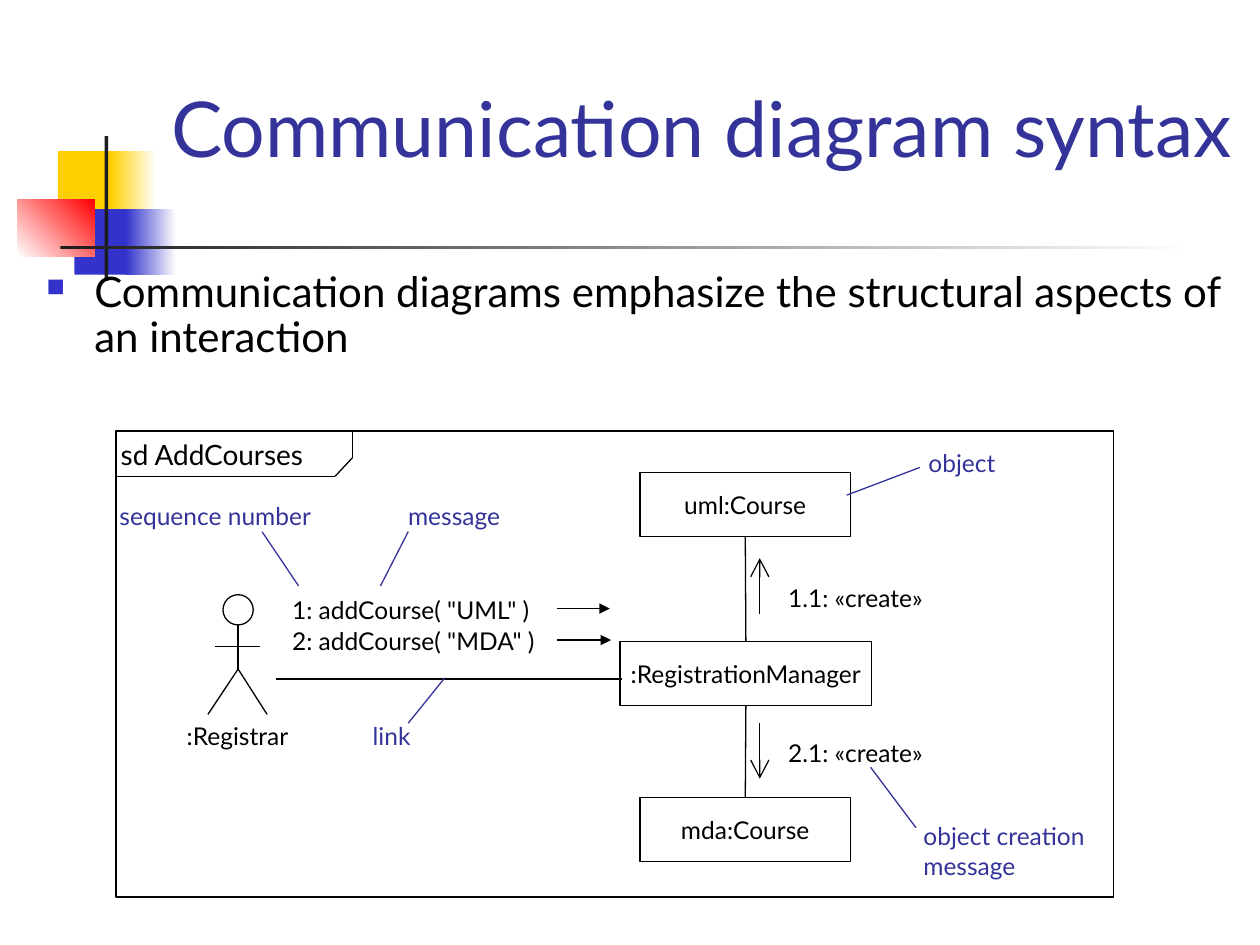
from dataclasses import dataclass
from typing import Any

import pptx
import pptx.dml.color
import pptx.enum.shapes
import pptx.enum.text
import pptx.oxml
import pptx.oxml.ns
import pptx.util
from pptx.util import Inches

Kind = pptx.enum.shapes.MSO_SHAPE
Align = pptx.enum.text.PP_ALIGN
Anchor = pptx.enum.text.MSO_ANCHOR
Fit = pptx.enum.text.MSO_AUTO_SIZE

FONT = "Lato"
BLACK, WHITE, NAVY = "000000", "FFFFFF", "333399"
GOLD, BLUE, RED, DARK = "FFCF01", "3333CC", "FF0000", "1C1C1C"


@dataclass
class Box:
    x: float
    y: float
    w: float
    h: float


@dataclass
class Block:
    box: Box
    start: str
    end: str = ""
    angle: float = 0


@dataclass
class Label:
    text: str
    box: Box
    color: str = BLACK
    size: float = 14
    wrap: bool = False
    align: Any = Align.LEFT


@dataclass
class Line:
    x1: float
    y1: float
    x2: float
    y2: float
    color: str = BLACK
    head: str = ""
    scale: str = "med"


BLOCKS = [
    Block(Box(0.46, 1.2, 0.48, 0.52), GOLD),
    Block(Box(0.88, 1.2, 0.36, 0.52), GOLD, WHITE),
    Block(Box(0.59, 1.66, 0.46, 0.52), BLUE),
    Block(Box(1, 1.66, 0.4, 0.52), BLUE, WHITE),
    Block(Box(0.14, 1.58, 0.61, 0.46), WHITE, RED, 45),
    Block(Box(0.83, 1.08, 0.03, 1.15), DARK),
    Block(Box(0.48, 1.95, 9, 0.03), DARK, WHITE),
]
LABELS = [
    Label('1: addCourse( "UML" )', Box(2.22, 4.67, 2.21, 0.34)),
    Label('2: addCourse( "MDA" )', Box(2.22, 4.92, 2.23, 0.34)),
    Label("1.1: «create»", Box(5.96, 4.58, 1.66, 0.34), wrap=True, align=Align.CENTER),
    Label("2.1: «create»", Box(5.96, 5.81, 1.66, 0.34), wrap=True, align=Align.CENTER),
    Label("sd AddCourses", Box(0.86, 3.42, 1.75, 0.37), size=16),
    Label("link", Box(2.86, 5.67, 0.52, 0.34), NAVY),
    Label("message", Box(3.14, 3.93, 1.02, 0.34), NAVY),
    Label("sequence number", Box(0.85, 3.93, 1.86, 0.34), NAVY),
    Label("object", Box(7.27, 3.51, 0.76, 0.34), NAVY),
    Label("object creation\nmessage", Box(7.23, 6.47, 1.52, 0.8), NAVY, wrap=True),
]
LINES = [
    Line(2.19, 5.39, 4.94, 5.39),
    Line(4.42, 4.83, 4.84, 4.83, head="triangle"),
    Line(4.42, 5.08, 4.85, 5.08, head="triangle"),
    Line(6.03, 4.87, 6.03, 4.43, head="arrow", scale="lg"),
    Line(6.03, 5.74, 6.03, 6.18, head="arrow", scale="lg"),
    Line(0.92, 3.78, 2.66, 3.78),
    Line(3.24, 5.74, 3.53, 5.38, NAVY),
    Line(3.24, 4.22, 3.02, 4.65, NAVY),
    Line(2.08, 4.22, 2.37, 4.65, NAVY),
    Line(7.3, 3.71, 6.72, 3.93, NAVY),
    Line(6.91, 6.09, 7.27, 6.57, NAVY),
]
CORNER = [Line(2.66, 3.78, 2.8, 3.63), Line(2.8, 3.63, 2.8, 3.42)]
LIMBS = [
    Line(1.89, 4.96, 1.89, 5.31),
    Line(1.89, 5.31, 2.12, 5.67),
    Line(1.89, 5.31, 1.65, 5.67),
    Line(1.71, 5.13, 2.06, 5.13),
]


def rgb(code: str) -> pptx.dml.color.RGBColor:
    return pptx.dml.color.RGBColor.from_string(code)


def place(box: Box) -> list[int]:
    return [Inches(v) for v in (box.x, box.y, box.w, box.h)]


def write(shape: Any, text: str, size: float, color: str, align: Any = Align.LEFT) -> Any:
    """Fill the first paragraph, with a line break at each newline."""
    para = shape.text_frame.paragraphs[0]
    para.alignment = align
    for i, part in enumerate(text.split("\n")):
        if i:
            para.add_line_break()
        run = para.add_run()
        run.text = part
        run.font.name = FONT
        run.font.size = pptx.util.Pt(size)
        run.font.color.rgb = rgb(color)
    return para


def draw_block(on: Any, block: Block) -> None:
    shape = on.add_shape(Kind.RECTANGLE, *place(block.box))
    shape.shadow.inherit = False
    shape.line.fill.background()
    if block.end:
        shape.fill.gradient()
        shape.fill.gradient_angle = block.angle
        for stop, color in zip(shape.fill.gradient_stops, (block.start, block.end)):
            stop.color.rgb = rgb(color)
    else:
        shape.fill.solid()
        shape.fill.fore_color.rgb = rgb(block.start)


def draw_shape(on: Any, kind: Any, box: Box, fill: str = "") -> Any:
    """Draw a thin black outline, hollow unless a fill is given."""
    shape = on.add_shape(kind, *place(box))
    shape.shadow.inherit = False
    shape.line.color.rgb = rgb(BLACK)
    shape.line.width = pptx.util.Pt(0.75)
    if fill:
        shape.fill.solid()
        shape.fill.fore_color.rgb = rgb(fill)
    else:
        shape.fill.background()
    return shape


def draw_object(on: Any, name: str, box: Box) -> Any:
    shape = draw_shape(on, Kind.RECTANGLE, box, WHITE)
    shape.text_frame.word_wrap = False
    shape.text_frame.vertical_anchor = Anchor.MIDDLE
    write(shape, name, 14, BLACK, Align.CENTER)
    return shape


def draw_label(on: Any, label: Label) -> None:
    shape = on.add_textbox(*place(label.box))
    shape.text_frame.word_wrap = label.wrap
    shape.text_frame.auto_size = Fit.SHAPE_TO_FIT_TEXT
    write(shape, label.text, label.size, label.color, label.align)


def draw_line(on: Any, line: Line) -> Any:
    ends = [Inches(v) for v in (line.x1, line.y1, line.x2, line.y2)]
    link = on.add_connector(pptx.enum.shapes.MSO_CONNECTOR.STRAIGHT, *ends)
    link.line.color.rgb = rgb(line.color)
    link.line.width = pptx.util.Pt(0.75)
    if line.head:
        tail = pptx.oxml.ns.qn("a:tailEnd")
        link.line._get_or_add_ln().append(
            link.line._ln.makeelement(tail, {"type": line.head, "w": line.scale, "len": line.scale}))
    props = link._element.spPr
    props.append(props.makeelement(pptx.oxml.ns.qn("a:effectLst"), {}))
    return link


def draw_heads(on: Any) -> None:
    """Draw the title and the bulleted statement."""
    title = on.add_textbox(*place(Box(1.26, 0.58, 8.74, 0.84)))
    title.text_frame.word_wrap = True
    title.text_frame.vertical_anchor = Anchor.BOTTOM
    write(title, "Communication diagram syntax", 44, NAVY)

    body = on.add_textbox(*place(Box(0.27, 2.1, 9.53, 0.91)))
    body.text_frame.word_wrap = True
    para = write(body, "Communication diagrams emphasize the structural aspects of an interaction", 24, BLACK)
    para.line_spacing = 0.9
    props = para._p.get_or_add_pPr()
    props.set("marL", str(Inches(0.38)))
    props.set("indent", str(Inches(-0.38)))
    color = props.makeelement(pptx.oxml.ns.qn("a:buClr"), {})
    color.append(color.makeelement(pptx.oxml.ns.qn("a:srgbClr"), {"val": BLUE}))
    props.append(color)
    for tag, key, val in (("a:buSzPct", "val", "60000"), ("a:buChar", "char", "■")):
        props.append(props.makeelement(pptx.oxml.ns.qn(tag), {key: val}))


def main() -> None:
    deck = pptx.Presentation()
    deck.slide_width, deck.slide_height = Inches(10), Inches(7.5)
    on = deck.slides.add_slide(deck.slide_layouts[6]).shapes
    for block in BLOCKS:
        draw_block(on, block)
    draw_heads(on)

    actor = on.add_group_shape().shapes
    draw_shape(actor, Kind.OVAL, Box(1.77, 4.72, 0.24, 0.24))
    for limb in LIMBS:
        draw_line(actor, limb)
    draw_label(actor, Label(":Registrar", Box(1.34, 5.67, 1.09, 0.34), align=Align.CENTER))

    hub = draw_object(on, ":RegistrationManager", Box(4.92, 5.09, 2, 0.51))
    mda = draw_object(on, "mda:Course", Box(5.08, 6.33, 1.67, 0.51))
    uml = draw_object(on, "uml:Course", Box(5.08, 3.75, 1.67, 0.51))
    for end, y1, y2, side in ((uml, 5.09, 4.26, 0), (mda, 5.6, 6.33, 2)):
        link = draw_line(on, Line(5.92, y1, 5.92, y2))
        link.begin_connect(hub, side)
        link.end_connect(end, 2 - side)

    draw_shape(on, Kind.RECTANGLE, Box(0.92, 3.42, 7.92, 3.7))
    corner = on.add_group_shape().shapes
    for line in CORNER:
        draw_line(corner, line)
    for line in LINES:
        draw_line(on, line)
    for label in LABELS:
        draw_label(on, label)
    deck.save("out.pptx")


if __name__ == "__main__":
    main()
